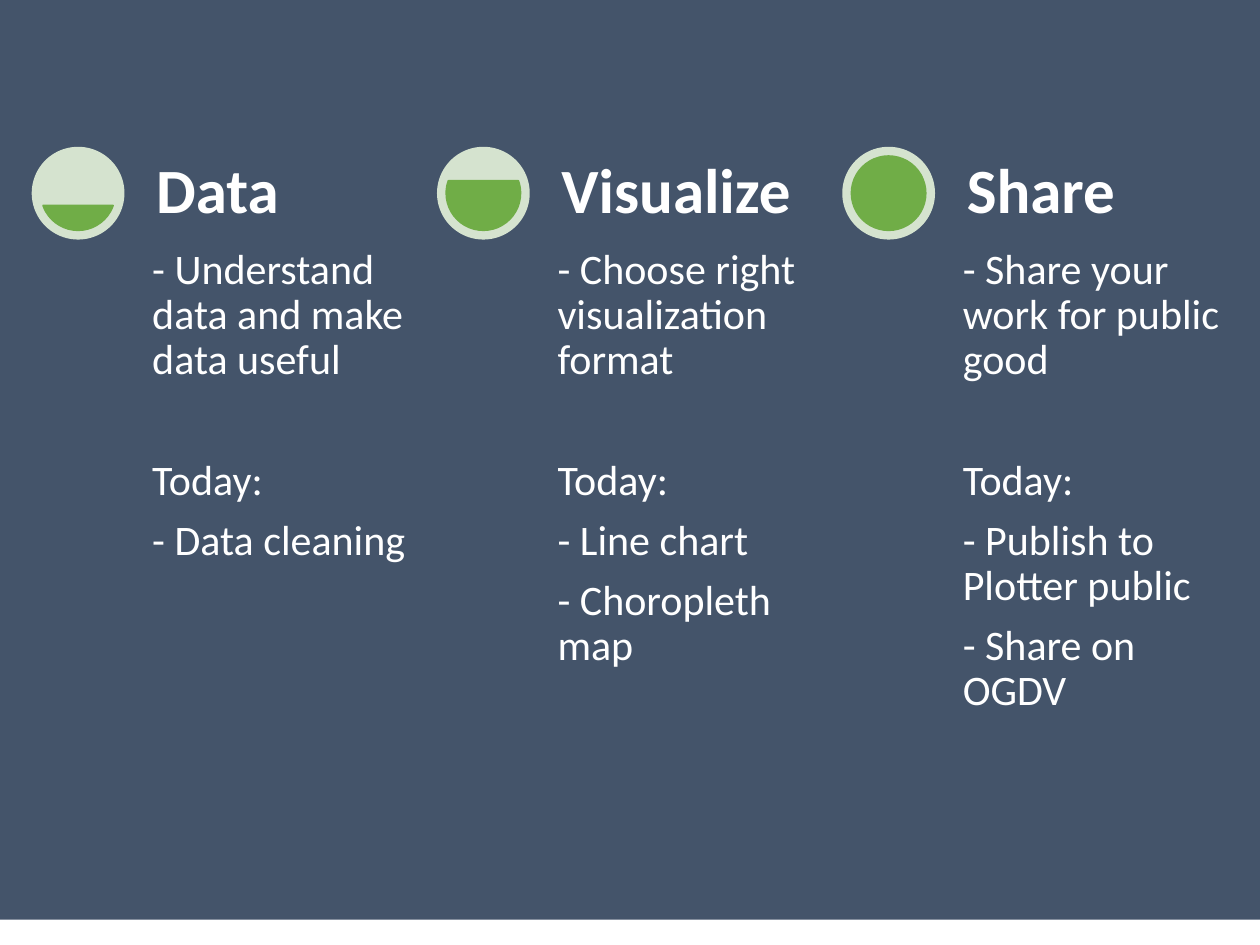
from math import asin, degrees

from pptx import Presentation
from pptx.dml.color import RGBColor
from pptx.enum.shapes import MSO_SHAPE as Preset
from pptx.enum.text import MSO_ANCHOR as Anchor
from pptx.util import Cm, Pt

SLATE, PALE, GREEN, WHITE = "44546A", "D5E3CF", "70AD47", "FFFFFF"

STEPS = [
    ("Data", "- Understand data and make data useful",
     ["- Data cleaning"]),
    ("Visualize", "- Choose right visualization format",
     ["- Line chart", "- Choropleth map"]),
    ("Share", "- Share your work for public good",
     ["- Publish to Plotter public", "- Share on OGDV"]),
]


def color(hex_code):
    return RGBColor.from_string(hex_code)


def add_filled(slide, preset, left, top, width, height, fill, outline=None):
    shape = slide.shapes.add_shape(preset, Cm(left), Cm(top), Cm(width), Cm(height))
    shape.shadow.inherit = False
    shape.fill.solid()
    shape.fill.fore_color.rgb = color(fill)
    if outline:
        shape.line.color.rgb = color(outline)
        shape.line.width = Pt(1)
    else:
        shape.line.fill.background()
    return shape


def add_text(slide, left, top, width, height, lines, size, inset,
             bold=False, anchor=Anchor.TOP):
    frame = slide.shapes.add_textbox(Cm(left), Cm(top), Cm(width), Cm(height)).text_frame
    frame.word_wrap = True
    frame.vertical_anchor = anchor
    frame.margin_left = frame.margin_right = Cm(inset)
    frame.margin_top = frame.margin_bottom = Cm(inset)
    frame.text = "\n".join(lines)
    for paragraph in frame.paragraphs:
        paragraph.line_spacing = 0.9
        paragraph.space_after = Pt(0.35 * size)
        font = paragraph.runs[0].font
        font.name, font.size, font.bold = "Calibri", Pt(size), bold
        font.color.rgb = color(WHITE)
    return frame


def add_gauge(slide, left, top, diameter, level):
    """Circle filled from the bottom up to level, a share of its height."""
    add_filled(slide, Preset.OVAL, left, top, diameter, diameter, PALE)
    rim = diameter / 10
    inner = diameter - 2 * rim
    chord = add_filled(slide, Preset.CHORD, left + rim, top + rim,
                       inner, inner, GREEN, GREEN)
    surface = degrees(asin(1 - 2 * level))
    # An adjustment unit is 100000, a degree is 60000
    chord.adjustments[0] = surface % 360 * 0.6
    chord.adjustments[1] = (180 - surface) * 0.6


def add_step(slide, left, top, width, level, title, goal, tasks):
    diameter, text_offset = 1.87, 2.26
    text_left, text_width = left + text_offset, width - text_offset
    add_gauge(slide, left, top, diameter, level)

    # Goal and today's tasks
    body = add_text(slide, text_left, top + diameter, text_width, 7.85,
                    [goal, "Today:", *tasks], 24, 0.17)
    body.paragraphs[1].space_before = Pt(34.3)

    # Heading beside the gauge
    add_text(slide, text_left, top, text_width, diameter, [title], 36, 0.25,
             bold=True, anchor=Anchor.BOTTOM)


def main():
    deck = Presentation()
    deck.slide_width, deck.slide_height = Cm(25.4), Cm(19.05)
    slide = deck.slides.add_slide(deck.slide_layouts[6])

    # Backdrop
    add_filled(slide, Preset.RECTANGLE, 0, 0, 25.4, 18.54, SLATE)

    # One column per step
    for index, step in enumerate(STEPS):
        add_step(slide, 0.64 + index * 8.17, 2.96, 7.8,
                 (index + 1) / len(STEPS), *step)

    deck.save("out.pptx")


if __name__ == "__main__":
    main()
